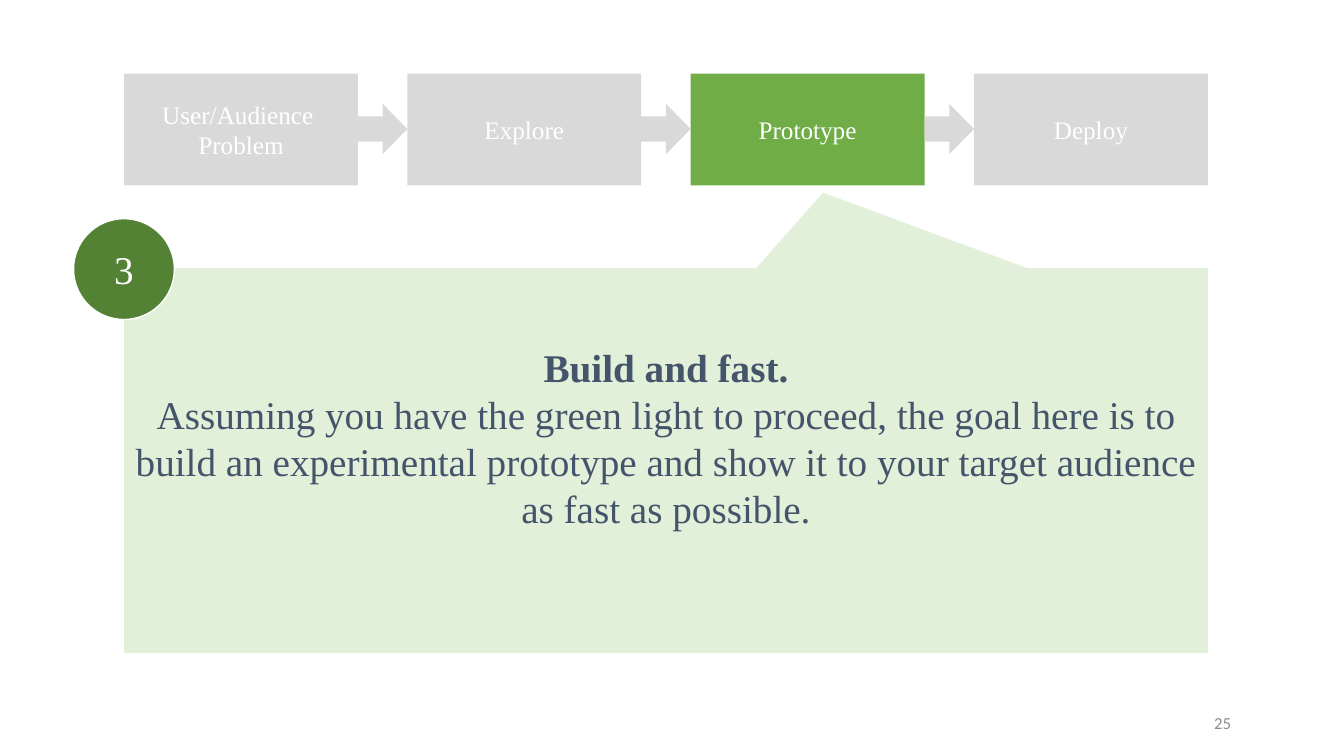
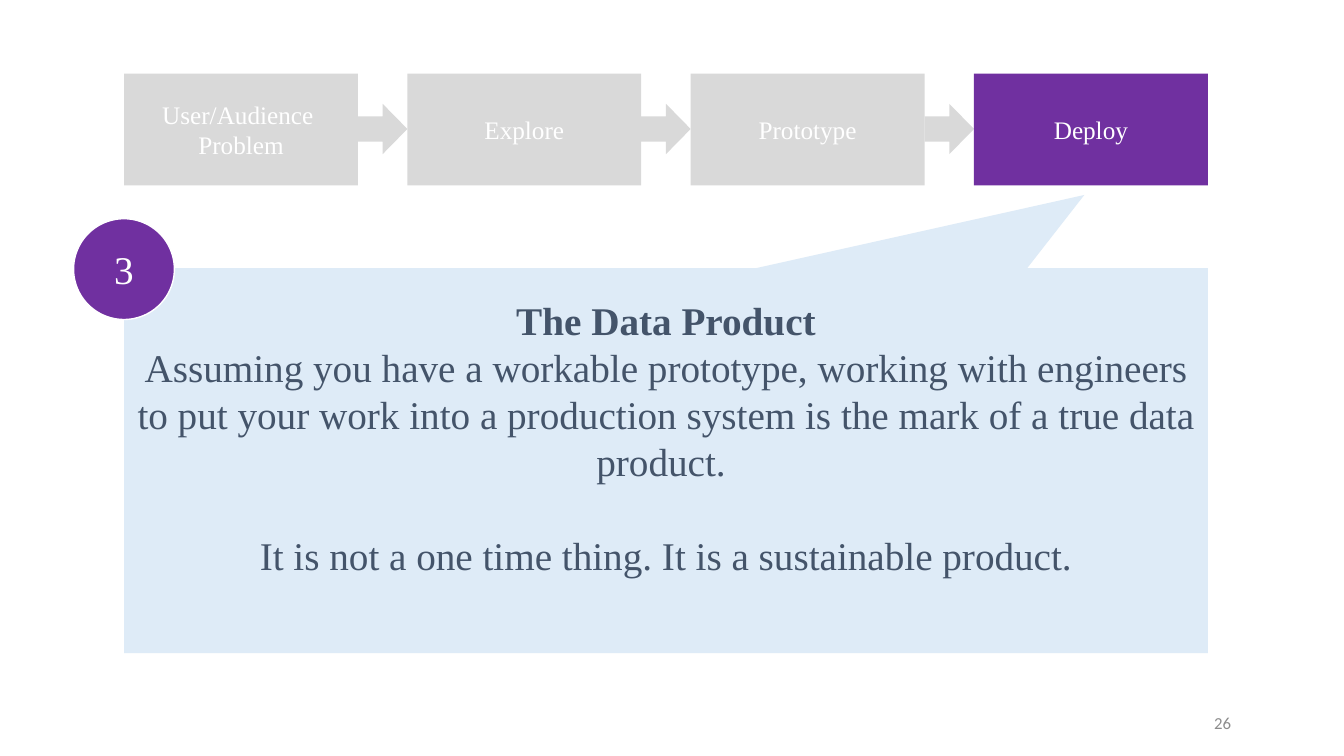
from pptx import Presentation
from pptx.dml.color import RGBColor
from pptx.enum.shapes import MSO_SHAPE
from pptx.enum.text import MSO_ANCHOR, PP_ALIGN
from pptx.util import Inches, Pt

# Shared style
SERIF, SANS = "Times New Roman", "Calibri"
WHITE, GREY, NAVY, NUMBER = "FFFFFF", "D9D9D9", "44546A", "8C8C8C"
LINE_PT = 33.6  # height of one line of callout text

# Shared layout, in inches
LEFT, TOP, BOX_W, BOX_H, GAP = 1.23, 0.73, 2.32, 1.11, 0.49
ARROW_H = 0.5
STEPS = [["User/Audience ", "Problem"], ["Explore"], ["Prototype"], ["Deploy"]]
CALLOUT_W = len(STEPS) * BOX_W + (len(STEPS) - 1) * GAP

SLIDES = [
    dict(page="25", active=2, strong="70AD47", badge="548235", pale="E2F0D9",
         tip=(0.145, -0.696), heading="Build and fast.",
         body=["Assuming you have the green light to proceed, the goal here is to "
               "build an experimental prototype and show it to your target audience "
               "as fast as possible."]),
    dict(page="26", active=3, strong="7030A0", badge="7030A0", pale="DEEBF7",
         tip=(0.386, -0.69), heading="The Data Product",
         body=["Assuming you have a workable prototype, working with engineers to put "
               "your work into a production system is the mark of a true data product. ",
               "It is not a one time thing. It is a sustainable product."]),
]


def rgb(color):
    return RGBColor.from_string(color)


def add_text(sp, lines, size=18, font=SERIF, color=WHITE, align=PP_ALIGN.CENTER,
             bold_first=False, gap_from=None, gap=0):
    """Write one paragraph per line; paragraphs from gap_from on get space before."""
    tf = sp.text_frame
    tf.word_wrap = True
    tf.vertical_anchor = MSO_ANCHOR.MIDDLE
    for i, line in enumerate(lines):
        p = tf.paragraphs[0] if i == 0 else tf.add_paragraph()
        p.alignment = align
        if gap_from is not None and i >= gap_from:
            p.space_before = Pt(gap)
        r = p.add_run()
        r.text = line
        r.font.name, r.font.size = font, Pt(size)
        r.font.color.rgb = rgb(color)
        r.font.bold = bold_first and i == 0


prs = Presentation()
prs.slide_width, prs.slide_height = Inches(13.33), Inches(7.5)

for info in SLIDES:
    s = prs.slides.add_slide(prs.slide_layouts[6])

    # Page number
    sp = s.shapes.add_textbox(Inches(9.31), Inches(6.97), Inches(3), Inches(0.4))
    add_text(sp, [info["page"]], size=12, font=SANS, color=NUMBER, align=PP_ALIGN.RIGHT)

    # Process steps, with an arrow in each gap
    filled = []
    for i, label in enumerate(STEPS):
        x = LEFT + i * (BOX_W + GAP)
        sp = s.shapes.add_shape(MSO_SHAPE.RECTANGLE, Inches(x), Inches(TOP),
                                Inches(BOX_W), Inches(BOX_H))
        add_text(sp, label)
        filled.append((sp, info["strong"] if i == info["active"] else GREY))
        if i < len(STEPS) - 1:
            sp = s.shapes.add_shape(MSO_SHAPE.RIGHT_ARROW, Inches(x + BOX_W), Inches(1.03),
                                    Inches(GAP), Inches(ARROW_H))
            filled.append((sp, GREY))

    # Callout pointing at the active step
    sp = s.shapes.add_shape(MSO_SHAPE.RECTANGULAR_CALLOUT, Inches(LEFT), Inches(2.66),
                            Inches(CALLOUT_W), Inches(3.82))
    sp.adjustments[0], sp.adjustments[1] = info["tip"]
    sp.text_frame.margin_bottom = Inches(0.05) + Pt(LINE_PT)
    add_text(sp, [info["heading"]] + info["body"], size=28, color=NAVY,
             bold_first=True, gap_from=2, gap=LINE_PT)
    filled.append((sp, info["pale"]))

    # Number badge on the callout's corner
    badge = s.shapes.add_shape(MSO_SHAPE.OVAL, Inches(LEFT - 0.5), Inches(2.17),
                               Inches(1), Inches(1))
    add_text(badge, ["3"], size=28)
    filled.append((badge, info["badge"]))

    # Flat fills without outline; only the badge has a white ring
    for sp, color in filled:
        sp.shadow.inherit = False
        sp.fill.solid()
        sp.fill.fore_color.rgb = rgb(color)
        sp.line.fill.background()
    badge.line.color.rgb = rgb(WHITE)
    badge.line.width = Pt(1)

prs.save("out.pptx")
